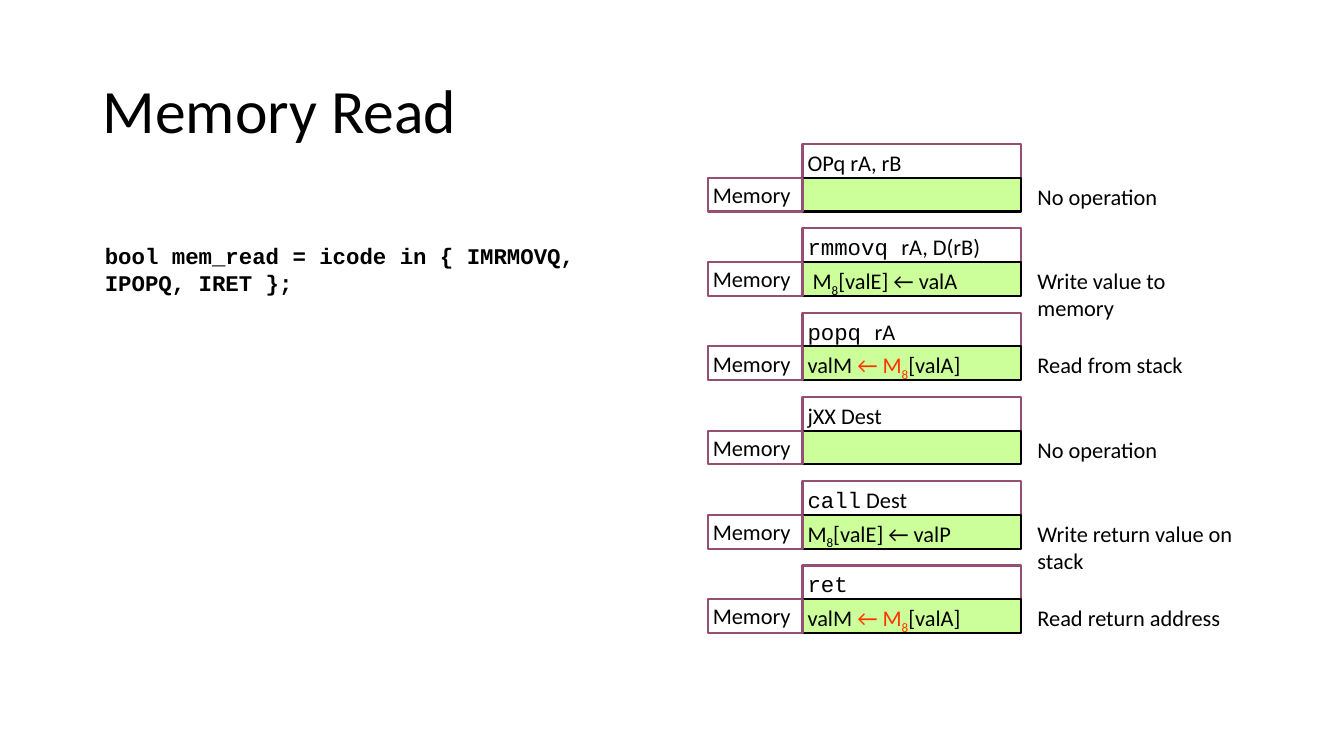
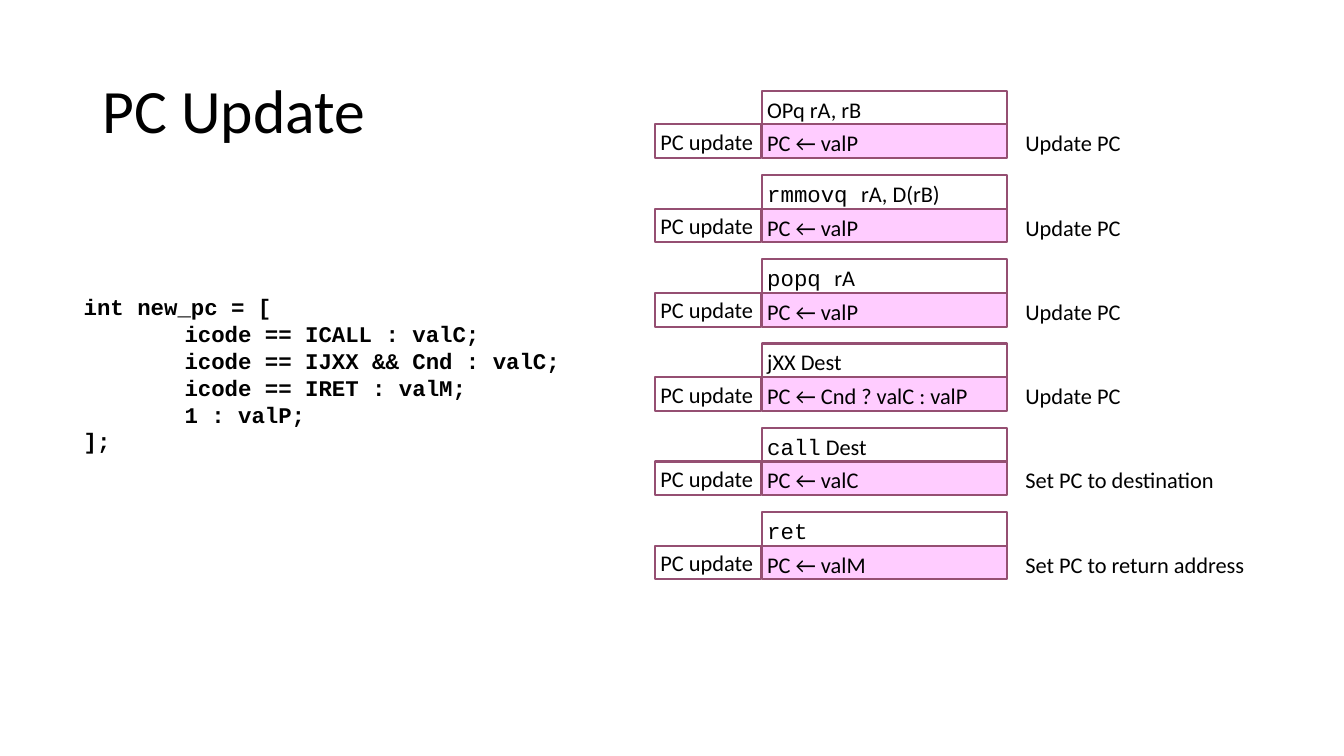
from lxml.etree import SubElement
from pptx import Presentation
from pptx.dml.color import RGBColor
from pptx.enum.shapes import MSO_SHAPE
from pptx.enum.text import MSO_ANCHOR, MSO_AUTO_SIZE, PP_ALIGN
from pptx.oxml.ns import qn
from pptx.util import Inches, Pt

# Shared look
COLORS = {
    "text": "000000",
    "accent": "FF3300",
    "border": "954F72",
    "strong": "000000",
    "memory": "CCFF99",
    "update": "FFCCFF",
}
SANS, MONO = "Calibri", "Courier New"
INSET = 0.05
PITCH = 4.18 / 5          # top of one instruction to the top of the next
CELL = PITCH * 0.4        # two cells and a half-cell gap fill one pitch

# Run styles: font, color, subscript, bold
STYLES = {
    "plain": (SANS, "text", False, False),
    "mono": (MONO, "text", False, False),
    "code": (MONO, "text", False, True),
    "sub": (SANS, "text", True, False),
    "accent": (SANS, "accent", False, False),
    "accent_sub": (SANS, "accent", True, False),
}

# Instructions listed on both slides
INSTRUCTIONS = [
    [("OPq rA, rB", "plain")],
    [("rmmovq ", "mono"), ("rA, D(rB)", "plain")],
    [("popq ", "mono"), ("rA", "plain")],
    [("jXX Dest", "plain")],
    [("call", "mono"), (" Dest", "plain")],
    [("ret", "mono")],
]

STACK_READ = [("valM ", "plain"), ("← M", "accent"),
              ("8", "accent_sub"), ("[valA]", "plain")]
MEMORY_STEPS = [
    ([], "No operation"),
    ([(" M", "plain"), ("8", "sub"), ("[valE] ← valA", "plain")],
     "Write value to memory"),
    (STACK_READ, "Read from stack"),
    ([], "No operation"),
    ([("M", "plain"), ("8", "sub"), ("[valE] ← valP", "plain")],
     "Write return value on stack"),
    (STACK_READ, "Read return address"),
]
UPDATE_STEPS = [
    ([(f"PC ← {value}", "plain")], note)
    for value, note in [
        ("valP", "Update PC"),
        ("valP", "Update PC"),
        ("valP", "Update PC"),
        ("Cnd ? valC : valP", "Update PC"),
        ("valC", "Set PC to destination"),
        ("valM", "Set PC to return address"),
    ]
]

MEMORY_CODE = ["bool mem_read = icode in { IMRMOVQ, IPOPQ, IRET };"]
UPDATE_CODE = [
    "int new_pc = [",
    "\ticode == ICALL : valC;",
    "\ticode == IJXX && Cnd : valC;",
    "\ticode == IRET : valM;",
    "\t1 : valP;",
    "];",
]


def color(name):
    return RGBColor.from_string(COLORS[name])


def add_runs(para, runs, size=16):
    for text, style in runs:
        font, tint, subscript, bold = STYLES[style]
        span = para.add_run()
        span.text = text
        span.font.name = font
        span.font.size = Pt(size)
        span.font.bold = bold
        span.font.color.rgb = color(tint)
        if subscript:
            span.font._element.set("baseline", "-25000")


def set_frame(box, anchor=MSO_ANCHOR.TOP, inset=INSET):
    frame = box.text_frame
    frame.word_wrap = True
    frame.vertical_anchor = anchor
    frame.margin_left = frame.margin_right = Inches(inset)
    frame.margin_top = frame.margin_bottom = Inches(inset)
    return frame


def add_text(parent, left, top, width, height):
    return parent.shapes.add_textbox(
        Inches(left), Inches(top), Inches(width), Inches(height))


def add_cell(group, left, top, width, runs, fill=None, line="border",
             anchor=MSO_ANCHOR.TOP):
    box = group.shapes.add_shape(
        MSO_SHAPE.RECTANGLE,
        Inches(left), Inches(top), Inches(width), Inches(CELL))
    box.shadow.inherit = False
    if fill:
        box.fill.solid()
        box.fill.fore_color.rgb = color(fill)
    else:
        box.fill.background()
    box.line.color.rgb = color(line)
    box.line.width = Pt(1.5)
    para = set_frame(box, anchor).paragraphs[0]
    para.alignment = PP_ALIGN.LEFT
    add_runs(para, runs)


def add_title(page, title):
    box = add_text(page, 0.92, 0.4, 11.5, 1.45)
    frame = set_frame(box, MSO_ANCHOR.MIDDLE, 0.1)
    para = frame.paragraphs[0]
    para.line_spacing = 0.9
    add_runs(para, [(title, "plain")], 44)


def add_code(page, left, top, width, height, lines):
    box = add_text(page, left, top, width, height)
    frame = set_frame(box)
    frame.auto_size = MSO_AUTO_SIZE.SHAPE_TO_FIT_TEXT
    for index, line in enumerate(lines):
        para = frame.add_paragraph() if index else frame.paragraphs[0]
        if line.startswith("\t"):
            stops = SubElement(para._p.get_or_add_pPr(), qn("a:tabLst"))
            SubElement(stops, qn("a:tab"), pos=str(Inches(1)), algn="l")
        add_runs(para, [(line, "code")])


def add_stage(page, stage, steps, top, label_left, label_width, cell_left,
              cell_width, note_left, fill, line):
    group = page.shapes.add_group_shape()
    # Instruction headings lie behind the stage cells
    for index, instruction in enumerate(INSTRUCTIONS):
        add_cell(group, cell_left, top + index * PITCH, cell_width, instruction)
    # Stage label, operation and explanation
    for index, (operation, note) in enumerate(steps):
        row = top + index * PITCH + CELL
        add_cell(group, cell_left, row, cell_width, operation, fill, line)
        add_cell(group, label_left, row, label_width, [(stage, "plain")],
                 anchor=MSO_ANCHOR.MIDDLE)
        box = add_text(group, note_left, row, cell_width, CELL)
        add_runs(set_frame(box).paragraphs[0], [(note, "plain")])


def main():
    deck = Presentation()
    deck.slide_width, deck.slide_height = Inches(13.33), Inches(7.5)
    blank = deck.slide_layouts[6]

    # Memory read
    page = deck.slides.add_slide(blank)
    add_title(page, "Memory Read")
    add_stage(page, "Memory", MEMORY_STEPS, top=1.43, label_left=7.02,
              label_width=0.94, cell_left=7.96, cell_width=2.17,
              note_left=10.24, fill="memory", line="strong")
    add_code(page, 0.99, 2.35, 5.32, 0.64, MEMORY_CODE)

    # Program counter update
    page = deck.slides.add_slide(blank)
    add_title(page, "PC Update")
    add_stage(page, "PC update", UPDATE_STEPS, top=0.9, label_left=6.5,
              label_width=1.05, cell_left=7.56, cell_width=2.43,
              note_left=10.12, fill="update", line="border")
    add_code(page, 0.78, 2.86, 5.68, 1.72, UPDATE_CODE)

    deck.save("out.pptx")


if __name__ == "__main__":
    main()
